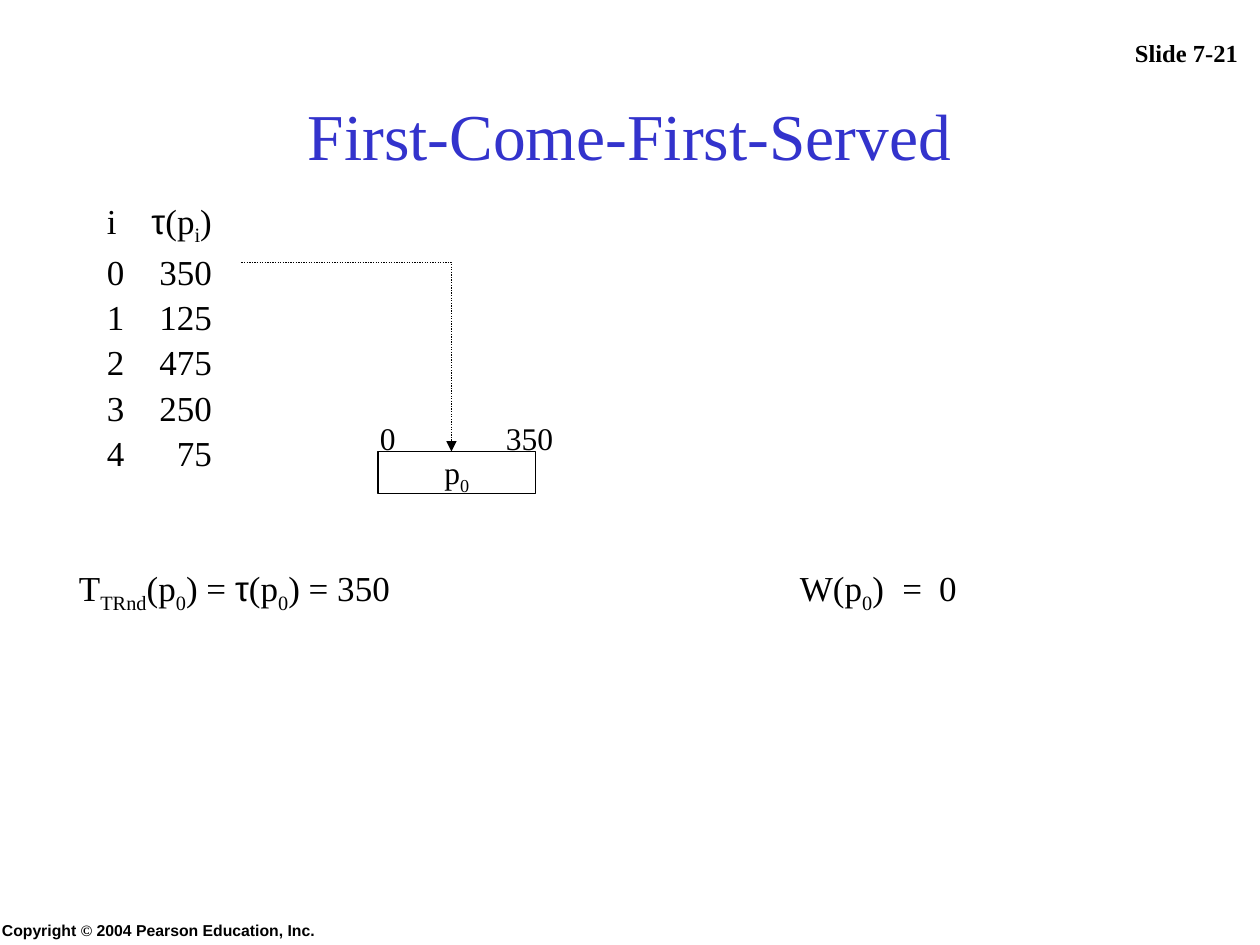
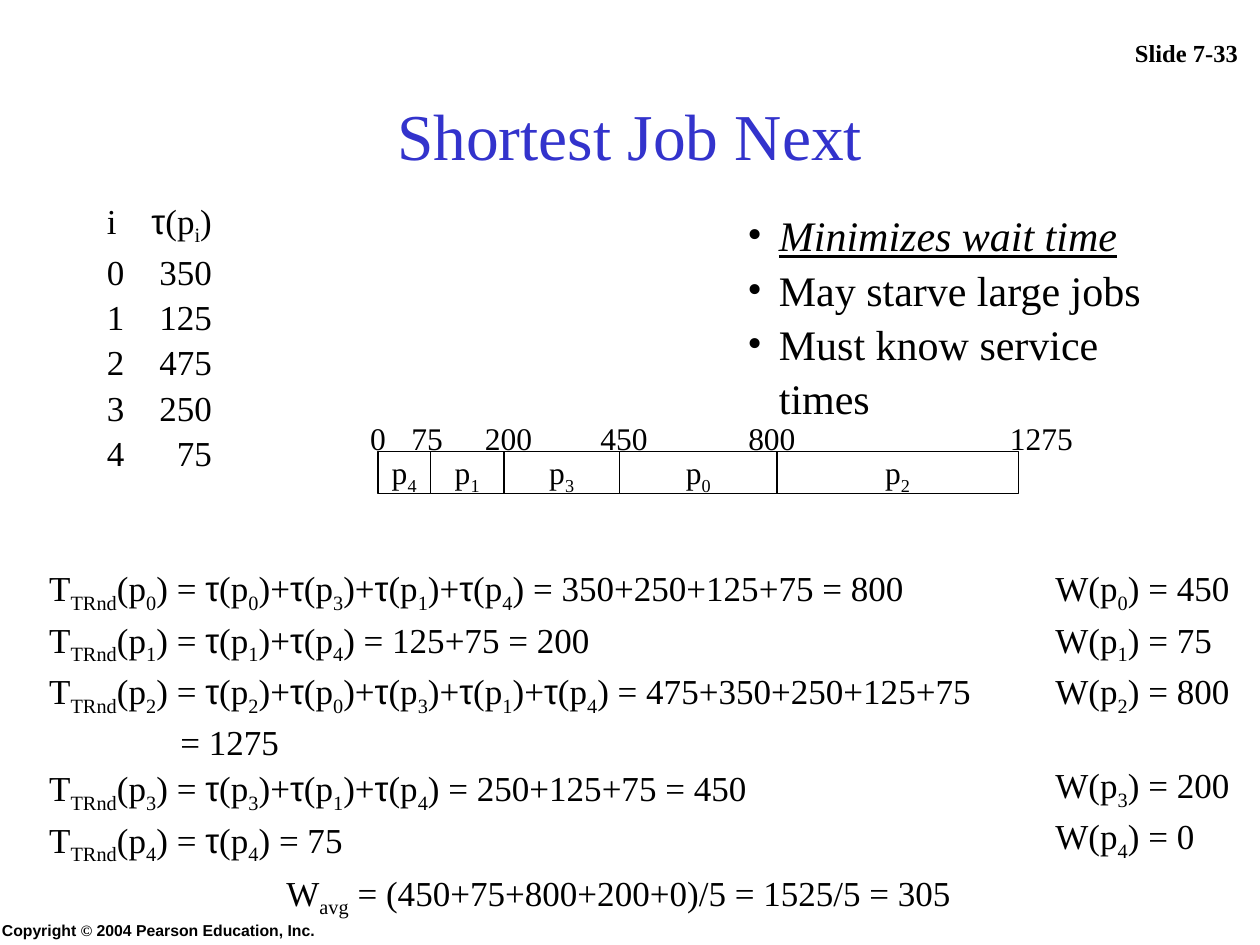
from dataclasses import dataclass
from itertools import groupby
from typing import Optional

from pptx import Presentation
from pptx.dml.color import RGBColor
from pptx.enum.dml import MSO_LINE
from pptx.enum.shapes import MSO_SHAPE
from pptx.enum.text import MSO_ANCHOR, PP_ALIGN
from pptx.oxml.ns import qn
from pptx.util import Pt
from lxml.etree import SubElement

# Shared look
COLORS = {"text": "000000", "title": "3333CC", "box": "FFFFFF"}
SERIF, SANS = "Times New Roman", "Arial"
SYMBOL_FONTS = {"τ": SANS, "©": SERIF}
LINE_SPACING = 1.08
BODY, LABEL = 20, 18

# Jobs and the bar that shows their order
SERVICE_TIMES = [350, 125, 475, 250, 75]
BAR_WIDTHS = [90, 42, 138, 66, 30]
BAR_LEFT, BAR_TOP, BAR_HEIGHT = 216, 258, 24
LABEL_TOP = 234
FORMULA_TOP = 318


@dataclass
class Style:
    size: float = BODY
    font: str = SERIF
    color: str = "text"
    bold: bool = False
    align: Optional[PP_ALIGN] = None
    anchor: MSO_ANCHOR = MSO_ANCHOR.TOP


@dataclass
class Line:
    """A paragraph; text between bars is subscript."""
    text: str
    tabs: tuple = ()
    bullet: bool = False
    emphasis: bool = False
    gap: float = 0


@dataclass
class TimeLabel:
    left: float
    text: str


def rgb(name: str) -> RGBColor:
    return RGBColor.from_string(COLORS[name])


# Text
def add_run(p, text: str, style: Style, subscript: bool, emphasis: bool) -> None:
    r = p.add_run()
    r.text = text
    f = r.font
    f.size, f.bold = Pt(style.size), style.bold
    f.name = SYMBOL_FONTS.get(text, style.font)
    f.color.rgb = rgb(style.color)
    if emphasis:
        f.italic = f.underline = True
    if subscript:
        r._r.get_or_add_rPr().set("baseline", "-25000")


def format_paragraph(p, line: Line, style: Style) -> None:
    p.line_spacing = LINE_SPACING
    p.space_before = Pt(line.gap)
    if style.align is not None:
        p.alignment = style.align
    pPr = p._p.get_or_add_pPr()
    if line.bullet:
        pPr.set("marL", str(Pt(18)))
        pPr.set("indent", str(-Pt(18)))
        SubElement(pPr, qn("a:buFont"), typeface=SERIF)
        SubElement(pPr, qn("a:buChar"), char="•")
    if line.tabs:
        stops = SubElement(pPr, qn("a:tabLst"))
        for pos, align in line.tabs:
            SubElement(stops, qn("a:tab"), pos=str(Pt(pos)), algn=align)


def write(tf, lines: list[Line], style: Style) -> None:
    tf.vertical_anchor = style.anchor
    for i, line in enumerate(lines):
        p = tf.add_paragraph() if i else tf.paragraphs[0]
        format_paragraph(p, line, style)
        for k, part in enumerate(line.text.split("|")):
            for _, chars in groupby(part, lambda c: c if c in SYMBOL_FONTS else ""):
                add_run(p, "".join(chars), style, k % 2 == 1, line.emphasis)


def add_text(s, left: float, top: float, width: float, height: float,
             lines: list[Line], style: Style = Style()) -> None:
    tf = s.shapes.add_textbox(Pt(left), Pt(top), Pt(width), Pt(height)).text_frame
    tf.word_wrap = True
    write(tf, lines, style)


# Formulas
def turnaround(job: int, order: list[int], split: bool = False) -> list[Line]:
    """Turnaround time: the job itself, then all those served before it."""
    chain = order[order.index(job)::-1]
    times = [SERVICE_TIMES[j] for j in chain]
    text = f"T|TRnd|(p|{job}|) = " + "+".join(f"τ(p|{j}|)" for j in chain)
    if len(chain) > 1:
        text += " = " + "+".join(map(str, times))
    result = f"= {sum(times)}"
    if split:
        return [Line(text), Line("\t" + result, tabs=((75, "l"),))]
    return [Line(f"{text} {result}")]


def wait(job: int, order: list[int]) -> int:
    return sum(SERVICE_TIMES[j] for j in order[:order.index(job)])


# Parts that both slides have
def start_slide(prs, title: str, number: str):
    s = prs.slides.add_slide(prs.slide_layouts[5])
    add_text(s, 636, -12, 84, 54, [Line(f"Slide {number}")],
             Style(14, bold=True, align=PP_ALIGN.CENTER, anchor=MSO_ANCHOR.BOTTOM))
    add_text(s, -6, 522, 348, 18, [Line("Copyright © 2004 Pearson Education, Inc.")],
             Style(9, SANS, bold=True))
    sp = s.shapes.title
    sp.left, sp.top, sp.width, sp.height = Pt(54), Pt(48), Pt(612), Pt(54)
    write(sp.text_frame, [Line(title)],
          Style(37.4, color="title", align=PP_ALIGN.CENTER, anchor=MSO_ANCHOR.MIDDLE))

    # Service times of the jobs
    tabs = ((60, "r"),)
    rows = [Line("i\tτ(p|i|)", tabs)]
    rows += [Line(f"{i}\t{t}", tabs) for i, t in enumerate(SERVICE_TIMES)]
    add_text(s, 54, 108, 80, 154.8, rows)
    return s


def add_bar(s, order: list[int], labels: list[TimeLabel]) -> None:
    left = BAR_LEFT
    for job in order:
        sp = s.shapes.add_shape(MSO_SHAPE.RECTANGLE, Pt(left), Pt(BAR_TOP),
                                Pt(BAR_WIDTHS[job]), Pt(BAR_HEIGHT))
        sp.shadow.inherit = False
        sp.fill.solid()
        sp.fill.fore_color.rgb = rgb("box")
        sp.line.color.rgb = rgb("text")
        sp.line.width = Pt(0.75)
        sp.text_frame.word_wrap = False
        write(sp.text_frame, [Line(f"p|{job}|")],
              Style(LABEL, align=PP_ALIGN.CENTER, anchor=MSO_ANCHOR.MIDDLE))
        left += BAR_WIDTHS[job]
    for label in labels:
        add_text(s, label.left, LABEL_TOP, 9 * len(label.text) + 16, 28.8,
                 [Line(label.text)], Style(LABEL))


def add_bent_arrow(s, points: list[tuple[float, float]]) -> None:
    start, *rest = [(Pt(x), Pt(y)) for x, y in points]
    builder = s.shapes.build_freeform(*start)
    builder.add_line_segments(rest, close=False)
    sp = builder.convert_to_shape()
    sp.shadow.inherit = False
    sp.fill.background()
    sp.line.color.rgb = rgb("text")
    sp.line.width = Pt(0.75)
    sp.line.dash_style = MSO_LINE.ROUND_DOT
    SubElement(sp.line._get_or_add_ln(), qn("a:tailEnd"), type="triangle")


# Slides
def first_come_slide(prs) -> None:
    s = start_slide(prs, "First-Come-First-Served", "7-21")
    order = [0]
    add_bar(s, order, [TimeLabel(210, "0"), TimeLabel(282, "350")])
    add_bent_arrow(s, [(138, 150), (258, 150), (258, BAR_TOP)])
    add_text(s, 38, FORMULA_TOP, 200, 34.6, turnaround(0, order))
    add_text(s, 450, FORMULA_TOP, 110, 34.6,
             [Line(f"W(p|0|)\t=\t{wait(0, order)}", tabs=((58.5, "l"), (79.5, "l")))])


def shortest_job_slide(prs) -> None:
    s = start_slide(prs, "Shortest Job Next", "7-33")
    order = [4, 1, 3, 0, 2]
    add_bar(s, order, [TimeLabel(204.5, "0"), TimeLabel(228, "75"),
                       TimeLabel(270, "200"), TimeLabel(336, "450"),
                       TimeLabel(420.5, "800"), TimeLabel(570, "1275")])

    # Turnaround and waiting times, job by job
    formulas, waits = [], []
    for job in range(len(SERVICE_TIMES)):
        formulas += turnaround(job, order, split=job == 2)
        waits.append(Line(f"W(p|{job}|) = {wait(job, order)}",
                          gap=24 if job == 3 else 0))
    add_text(s, 21, FORMULA_TOP, 555, 167.8, formulas)
    add_text(s, 596, FORMULA_TOP, 120, 167.8, waits)

    # Average wait
    delays = [wait(job, order) for job in range(len(SERVICE_TIMES))]
    total, count = sum(delays), len(delays)
    add_text(s, 156.5, 492, 400, 34.6,
             [Line(f"W|avg| = ({'+'.join(map(str, delays))})/{count}"
                   f" = {total}/{count} = {total // count}")])

    # Properties
    add_text(s, 420, 114, 263.5, 93.6, [
        Line("Minimizes wait time", bullet=True, emphasis=True),
        Line("May starve large jobs", bullet=True),
        Line("Must know service times", bullet=True)], Style(24))


def main() -> None:
    prs = Presentation()
    prs.slide_width, prs.slide_height = Pt(720), Pt(540)
    first_come_slide(prs)
    shortest_job_slide(prs)
    prs.save("out.pptx")


if __name__ == "__main__":
    main()
